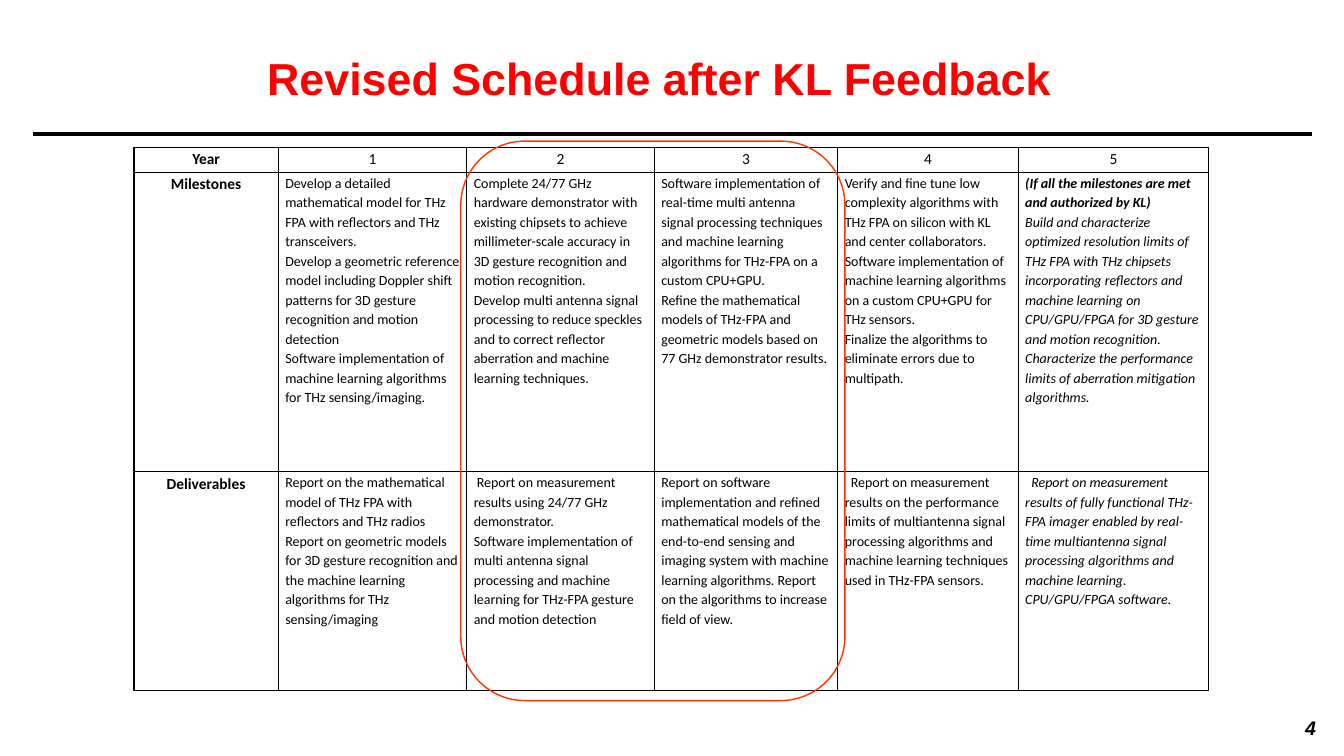
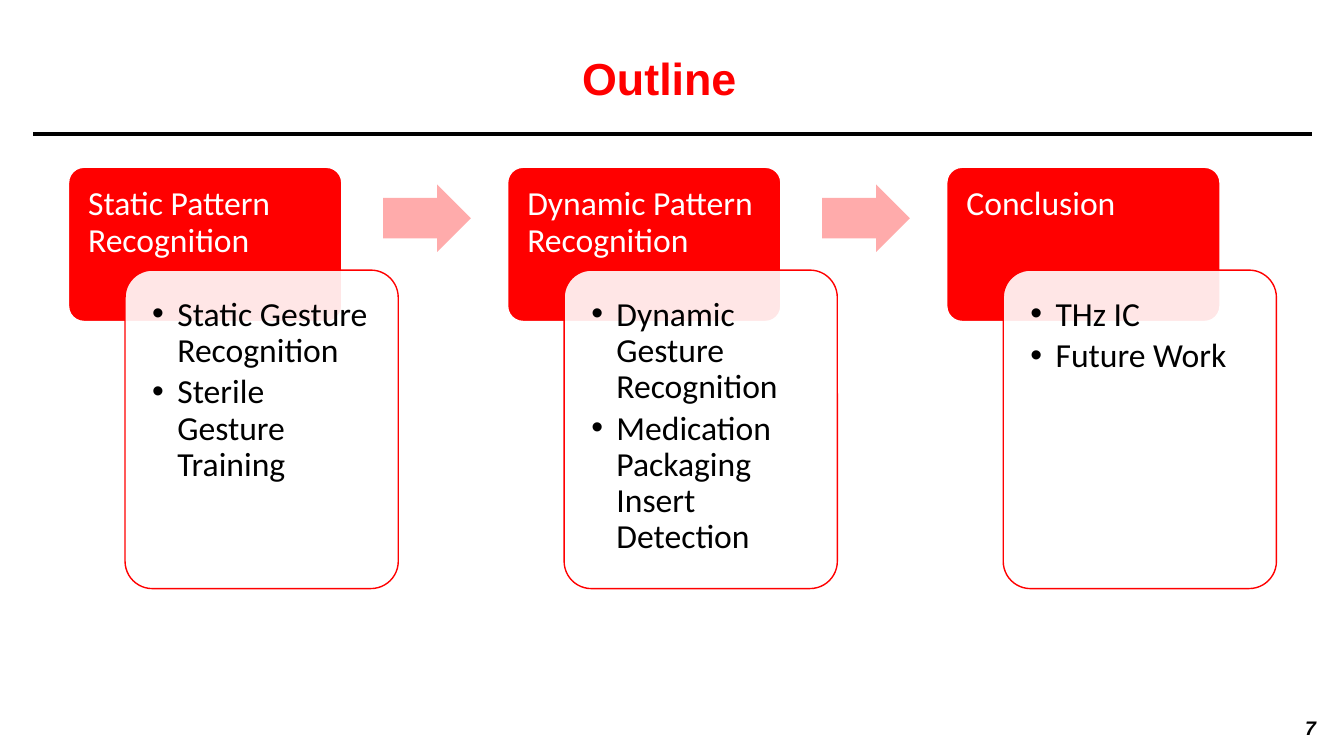
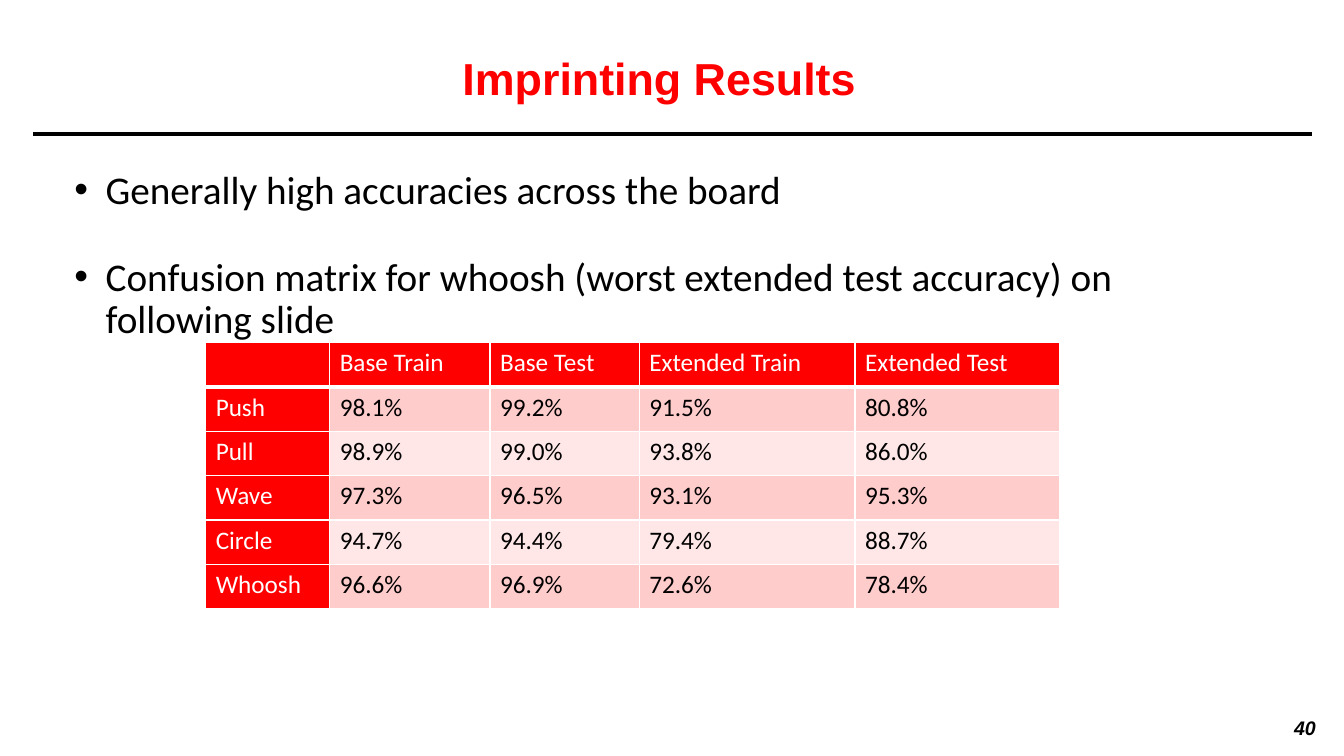
"""Build three slides: a project schedule, an outline and a results table."""
from dataclasses import dataclass

from lxml import etree
from pptx import Presentation
from pptx.dml.color import RGBColor
from pptx.enum.shapes import MSO_CONNECTOR, MSO_SHAPE
from pptx.enum.text import MSO_ANCHOR, MSO_AUTO_SIZE, PP_ALIGN
from pptx.oxml.ns import qn
from pptx.util import Inches, Pt

LEFT, CENTER, RIGHT = PP_ALIGN.LEFT, PP_ALIGN.CENTER, PP_ALIGN.RIGHT
TOP, MIDDLE = MSO_ANCHOR.TOP, MSO_ANCHOR.MIDDLE
ROUNDED, ARROW = MSO_SHAPE.ROUNDED_RECTANGLE, MSO_SHAPE.RIGHT_ARROW
STRAIGHT, NO_FIT = MSO_CONNECTOR.STRAIGHT, MSO_AUTO_SIZE.NONE
TITLE_ONLY = 5


@dataclass(frozen=True)
class Theme:
    """Colours, fonts and type sizes."""
    red: str = "FF0000"
    highlight: str = "FF3300"
    arrow: str = "FFABAB"
    band_dark: str = "FFCCCC"
    band_light: str = "FFE7E7"
    black: str = "000000"
    white: str = "FFFFFF"
    heading: str = "Arial"
    body: str = "Calibri"
    title_size: int = 32
    bullet_size: int = 28
    card_size: int = 24
    results_size: int = 18
    number_size: int = 14
    label_size: int = 11
    schedule_size: int = 10


THEME = Theme()

SCHEDULE_TITLE = "Revised Schedule after KL Feedback"
YEARS = ["Year", "1", "2", "3", "4", "5"]
MILESTONES = [
    ["Develop a detailed mathematical model for THz FPA with reflectors and THz transceivers.",
     "Develop a geometric reference model including Doppler shift patterns for 3D gesture "
     "recognition and motion detection",
     "Software implementation of machine learning algorithms for THz sensing/imaging."],
    ["Complete 24/77 GHz hardware demonstrator with existing chipsets to achieve "
     "millimeter-scale accuracy in 3D gesture recognition and motion recognition.",
     "Develop multi antenna signal processing to reduce speckles and to correct reflector "
     "aberration and machine learning techniques."],
    ["Software implementation of real-time multi antenna signal processing techniques and "
     "machine learning algorithms for THz-FPA on a custom CPU+GPU.",
     "Refine the mathematical models of THz-FPA and geometric models based on 77 GHz "
     "demonstrator results."],
    ["Verify and fine tune low complexity algorithms with THz FPA on silicon with KL and "
     "center collaborators.",
     "Software implementation of machine learning algorithms on a custom CPU+GPU for THz sensors.",
     "Finalize the algorithms to eliminate errors due to multipath."],
    ["(If all the milestones are met and authorized by KL)",
     "Build and characterize optimized resolution limits of THz FPA with THz chipsets "
     "incorporating reflectors and machine learning on CPU/GPU/FPGA for 3D gesture and motion "
     "recognition. Characterize the performance limits of aberration mitigation algorithms."],
]
DELIVERABLES = [
    ["Report on the mathematical model of THz FPA with reflectors and THz radios",
     "Report on geometric models for 3D gesture recognition and the machine learning "
     "algorithms for THz sensing/imaging"],
    ["Report on measurement results using 24/77 GHz demonstrator.",
     "Software implementation of multi antenna signal processing and machine learning for "
     "THz-FPA gesture and motion detection"],
    ["Report on software implementation and refined mathematical models of the end-to-end "
     "sensing and imaging system with machine learning algorithms. Report on the algorithms "
     "to increase field of view."],
    ["Report on measurement results on the performance limits of multiantenna signal "
     "processing algorithms and machine learning techniques used in THz-FPA sensors."],
    ["Report on measurement results of fully functional THz-FPA imager enabled by real-time "
     "multiantenna signal processing algorithms and machine learning. CPU/GPU/FPGA software."],
]
SCHEDULE_ROWS = [("Milestones", MILESTONES, [0, 0, 0, 0, 0]),
                 ("Deliverables", DELIVERABLES, [0, 0.03, 0, 0.06, 0.06])]
SCHEDULE_WIDTHS = [1.43, 1.87, 1.86, 1.82, 1.79, 1.89]
SCHEDULE_HEIGHTS = [0.25, 2.97, 2.17]

OUTLINE = [
    ("Static Pattern Recognition", ["Static Gesture Recognition", "Sterile Gesture Training"]),
    ("Dynamic Pattern Recognition",
     ["Dynamic Gesture Recognition", "Medication Packaging Insert Detection"]),
    ("Conclusion", ["THz IC", "Future Work"]),
]

FINDINGS = ["Generally high accuracies across the board",
            "Confusion matrix for whoosh (worst extended test accuracy) on following slide"]
RESULTS = [
    ["", "Base Train", "Base Test", "Extended Train", "Extended Test"],
    ["Push", "98.1%", "99.2%", "91.5%", "80.8%"],
    ["Pull", "98.9%", "99.0%", "93.8%", "86.0%"],
    ["Wave", "97.3%", "96.5%", "93.1%", "95.3%"],
    ["Circle", "94.7%", "94.4%", "79.4%", "88.7%"],
    ["Whoosh", "96.6%", "96.9%", "72.6%", "78.4%"],
]
RESULTS_WIDTHS = [1.23, 1.59, 1.48, 2.14, 2.03]
RESULTS_HEIGHTS = [0.44] * len(RESULTS)


def rgb(color):
    return RGBColor.from_string(color)


def apply(target, **values):
    for name, value in values.items():
        setattr(target, name, value)


def write(frame, lines, size, color=THEME.black, font=THEME.body, bold=False, italic=False,
          align=LEFT, spacing=1.0, gap=0, after=0, bullet=0, first_indent=0):
    """Fill a text frame with one paragraph per line."""
    for index, line in enumerate(lines):
        para = frame.paragraphs[0] if index == 0 else frame.add_paragraph()
        apply(para, alignment=align, line_spacing=spacing,
              space_before=Pt(gap if index else 0), space_after=Pt(after))
        properties = para._p.get_or_add_pPr()
        if bullet:
            properties.set("marL", str(Inches(bullet)))
            properties.set("indent", str(-Inches(bullet)))
            etree.SubElement(properties, qn("a:buFont")).set("typeface", THEME.heading)
            etree.SubElement(properties, qn("a:buChar")).set("char", "•")
        elif first_indent and index == 0:
            properties.set("indent", str(Inches(first_indent)))
        if line:
            span = para.add_run()
            span.text = line
            apply(span.font, name=font, size=Pt(size), bold=bold, italic=italic)
            span.font.color.rgb = rgb(color)


def set_margins(target, left, top, right, bottom):
    apply(target, margin_left=Inches(left), margin_top=Inches(top),
          margin_right=Inches(right), margin_bottom=Inches(bottom))


def add_text(page, place, lines, anchor=TOP, **style):
    box = page.shapes.add_textbox(*map(Inches, place))
    apply(box.text_frame, word_wrap=True, vertical_anchor=anchor)
    write(box.text_frame, lines, **style)


def add_figure(page, kind, place, fill=None, line=None, adjustments=()):
    shape = page.shapes.add_shape(kind, *map(Inches, place))
    shape.shadow.inherit = False
    for index, value in enumerate(adjustments):
        shape.adjustments[index] = value
    if fill:
        shape.fill.solid()
        shape.fill.fore_color.rgb = rgb(fill)
    else:
        shape.fill.background()
    if line:
        shape.line.color.rgb = rgb(line)
        shape.line.width = Pt(1)
    else:
        shape.line.fill.background()
    return shape


def add_page(deck, title, number):
    """Add a slide with the shared title, rule and slide number."""
    page = deck.slides.add_slide(deck.slide_layouts[TITLE_ONLY])
    heading = page.shapes.title
    apply(heading, left=Inches(0.79), top=Inches(0.31), width=Inches(11.5), height=Inches(0.99))
    apply(heading.text_frame, word_wrap=True, auto_size=NO_FIT, vertical_anchor=MIDDLE)
    write(heading.text_frame, [title], THEME.title_size, THEME.red, THEME.heading,
          bold=True, align=CENTER, spacing=0.9)
    rule = page.shapes.add_connector(STRAIGHT, *map(Inches, (0.33, 1.33, 13.01, 1.33)))
    rule.line.color.rgb = rgb(THEME.black)
    rule.line.width = Pt(3)
    etree.SubElement(rule._element.spPr, qn("a:effectLst"))
    add_text(page, (12.21, 7.05, 0.94, 0.36), [str(number)], MIDDLE, size=THEME.number_size,
             font=THEME.heading, bold=True, italic=True, align=RIGHT, spacing=0.93)
    return page


def add_grid(page, left, top, widths, heights):
    """Add a table without banding, sized by its columns and rows."""
    place = map(Inches, (left, top, sum(widths), sum(heights)))
    table = page.shapes.add_table(len(heights), len(widths), *place).table
    apply(table, first_row=False, horz_banding=False)
    for column, width in zip(table.columns, widths):
        column.width = Inches(width)
    for row, height in zip(table.rows, heights):
        row.height = Inches(height)
    return table


def style_cell(cell, border, fill=None, bottom=1):
    if fill:
        cell.fill.solid()
        cell.fill.fore_color.rgb = rgb(fill)
    else:
        cell.fill.background()
    properties = cell._tc.get_or_add_tcPr()
    sides = {"a:lnL": 1, "a:lnR": 1, "a:lnT": 1, "a:lnB": bottom}
    for index, (side, width) in enumerate(sides.items()):
        edge = etree.Element(qn(side), w=str(Pt(width)))
        solid = etree.SubElement(edge, qn("a:solidFill"))
        etree.SubElement(solid, qn("a:srgbClr")).set("val", border)
        properties.insert(index, edge)


def build_schedule(deck):
    page = add_page(deck, SCHEDULE_TITLE, 4)
    table = add_grid(page, 1.33, 1.46, SCHEDULE_WIDTHS, SCHEDULE_HEIGHTS)
    for cell in table.iter_cells():
        style_cell(cell, THEME.black)
        set_margins(cell, 0.07, 0, 0.07, 0)
    label = {"size": THEME.label_size, "align": CENTER, "spacing": 1.15}
    for column, year in enumerate(YEARS):
        write(table.cell(0, column).text_frame, [year], bold=column == 0, **label)
    for row, (name, entries, indents) in enumerate(SCHEDULE_ROWS, 1):
        write(table.cell(row, 0).text_frame, [name], bold=True, **label)
        for column, (lines, indent) in enumerate(zip(entries, indents), 1):
            write(table.cell(row, column).text_frame, lines, THEME.schedule_size,
                  italic=column == len(entries), spacing=1.15, first_indent=indent)
    condition = table.cell(1, len(MILESTONES)).text_frame.paragraphs[0]
    condition.runs[0].font.bold = True
    add_figure(page, ROUNDED, (4.57, 1.4, 3.81, 5.55), line=THEME.highlight)


def build_outline(deck):
    page = add_page(deck, "Outline", 7)
    first, last = 0.68, 9.39
    pitch = (last - first) / (len(OUTLINE) - 1)
    for index, (name, topics) in enumerate(OUTLINE):
        left = first + index * pitch
        header = add_figure(page, ROUNDED, (left, 1.66, 2.71, 1.53), THEME.red, THEME.white, [0.1])
        panel = add_figure(page, ROUNDED, (left + 0.56, 2.68, 2.71, 3.16),
                           THEME.white, THEME.red, [0.1])
        color = panel._element.spPr.find(qn("a:solidFill")).find(qn("a:srgbClr"))
        etree.SubElement(color, qn("a:alpha")).set("val", "90000")
        cards = [(header, [name], 0.15, {"color": THEME.white}),
                 (panel, topics, 0.19, {"bullet": 0.25, "after": 3.6})]
        for card, lines, margin, style in cards:
            apply(card.text_frame, word_wrap=True, vertical_anchor=TOP)
            set_margins(card.text_frame, *[margin] * 4)
            write(card.text_frame, lines, THEME.card_size, spacing=0.9, **style)
        if index < len(OUTLINE) - 1:
            add_figure(page, ARROW, (left + 3.12, 1.83, 0.87, 0.67), THEME.arrow,
                       adjustments=[0.6, 0.5])


def build_results(deck):
    page = add_page(deck, "Imprinting Results", 40)
    add_text(page, (0.64, 1.64, 11.78, 5.11), FINDINGS, size=THEME.bullet_size,
             spacing=0.9, gap=32, bullet=0.31)
    table = add_grid(page, 2.04, 3.4, RESULTS_WIDTHS, RESULTS_HEIGHTS)
    for row, values in enumerate(RESULTS):
        band = THEME.band_dark if row % 2 else THEME.band_light
        for column, value in enumerate(values):
            header = row == 0 or column == 0
            cell = table.cell(row, column)
            style_cell(cell, THEME.white, THEME.red if header else band, 1 if row else 3)
            write(cell.text_frame, [value], THEME.results_size,
                  THEME.white if header else THEME.black)


def main():
    deck = Presentation()
    apply(deck, slide_width=Inches(13.33), slide_height=Inches(7.5))
    for build in (build_schedule, build_outline, build_results):
        build(deck)
    deck.save("out.pptx")


if __name__ == "__main__":
    main()
